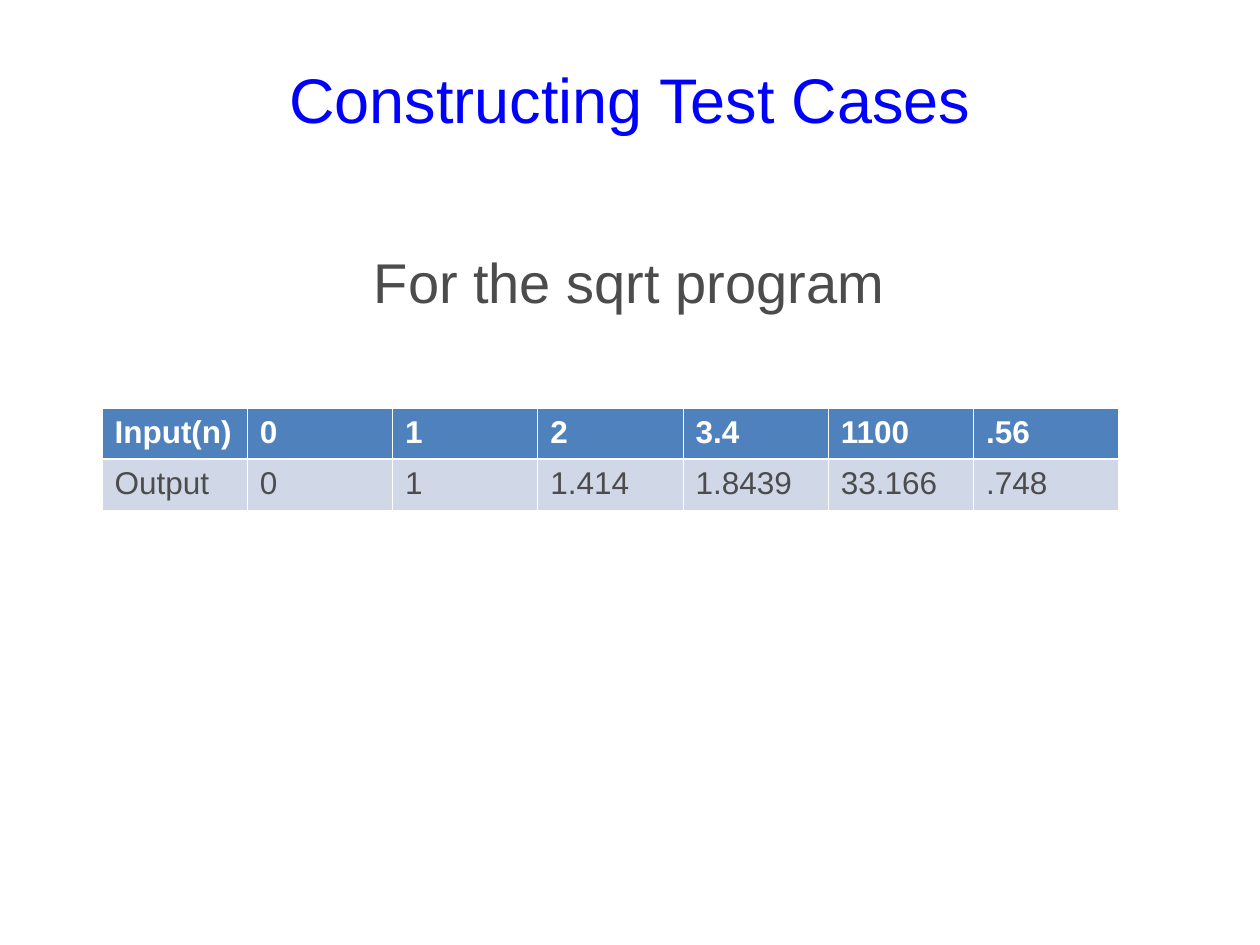
from pptx import Presentation
from pptx.dml.color import RGBColor
from pptx.enum.text import MSO_ANCHOR, PP_ALIGN
from pptx.oxml import parse_xml
from pptx.oxml.ns import nsdecls
from pptx.util import Pt

CENTER, LEFT = PP_ALIGN.CENTER, PP_ALIGN.LEFT
TOP, MIDDLE = MSO_ANCHOR.TOP, MSO_ANCHOR.MIDDLE
COLORS = {
    "title": "0000FF",
    "text": "4C4C4C",
    "white": "FFFFFF",
    "header": "4F81BD",
    "band": "D0D8E8",
}
THIN, THICK = 0.45, 1.47


class Deck:
    """Holds the style and the current slide, and adds elements in points."""

    def __init__(self, width, height, font="Arial"):
        self.prs = Presentation()
        self.prs.slide_width, self.prs.slide_height = Pt(width), Pt(height)
        self.font = font
        self.s = self.prs.slides.add_slide(self.prs.slide_layouts[6])

    def color(self, name):
        return RGBColor.from_string(COLORS[name])

    def run(self, p, text, size, color, bold=False):
        r = p.add_run()
        r.text = text
        r.font.name, r.font.size, r.font.bold = self.font, Pt(size), bold
        r.font.color.rgb = self.color(color)

    def text(self, box, text, size, color, anchor=TOP, inset=3.6):
        tf = self.s.shapes.add_textbox(*map(Pt, box)).text_frame
        tf.word_wrap = True
        tf.vertical_anchor = anchor
        tf.margin_top = Pt(inset)
        p = tf.paragraphs[0]
        p.alignment = CENTER
        self.run(p, text, size, color)

    def border(self, cell, side, width):
        cell.fill._xPr.append(parse_xml(
            f'<a:{side} {nsdecls("a")} w="{Pt(width)}"><a:solidFill>'
            f'<a:srgbClr val="{COLORS["white"]}"/></a:solidFill></a:{side}>'))

    def table(self, left, top, col_width, row_height, rows, size):
        n_rows, n_cols = len(rows), len(rows[0])
        table = self.s.shapes.add_table(
            n_rows, n_cols, Pt(left), Pt(top),
            Pt(col_width * n_cols), Pt(row_height * n_rows)).table
        for col in table.columns:
            col.width = Pt(col_width)
        for i, values in enumerate(rows):
            table.rows[i].height = Pt(row_height)
            header = i == 0
            for j, value in enumerate(values):
                cell = table.cell(i, j)
                p = cell.text_frame.paragraphs[0]
                p.alignment = LEFT
                self.run(p, value, size, "white" if header else "text", header)
                self.border(cell, "lnL", THIN)
                self.border(cell, "lnR", THIN)
                self.border(cell, "lnT", THICK if i == 1 else THIN)
                self.border(cell, "lnB", THICK if header else THIN)
                cell.fill.solid()
                cell.fill.fore_color.rgb = self.color("header" if header else "band")

    def save(self):
        self.prs.save("out.pptx")


def main():
    deck = Deck(720, 540)
    deck.text((36, 21.6, 648, 69.1), "Constructing Test Cases", 36, "title", MIDDLE)
    deck.text((13.7, 98, 692, 393), "For the sqrt program", 32, "text", inset=43.4)
    deck.table(58.3, 233.3, 83, 29.2, [
        ["Input(n)", "0", "1", "2", "3.4", "1100", ".56"],
        ["Output", "0", "1", "1.414", "1.8439", "33.166", ".748"],
    ], 18)
    deck.save()


if __name__ == "__main__":
    main()
